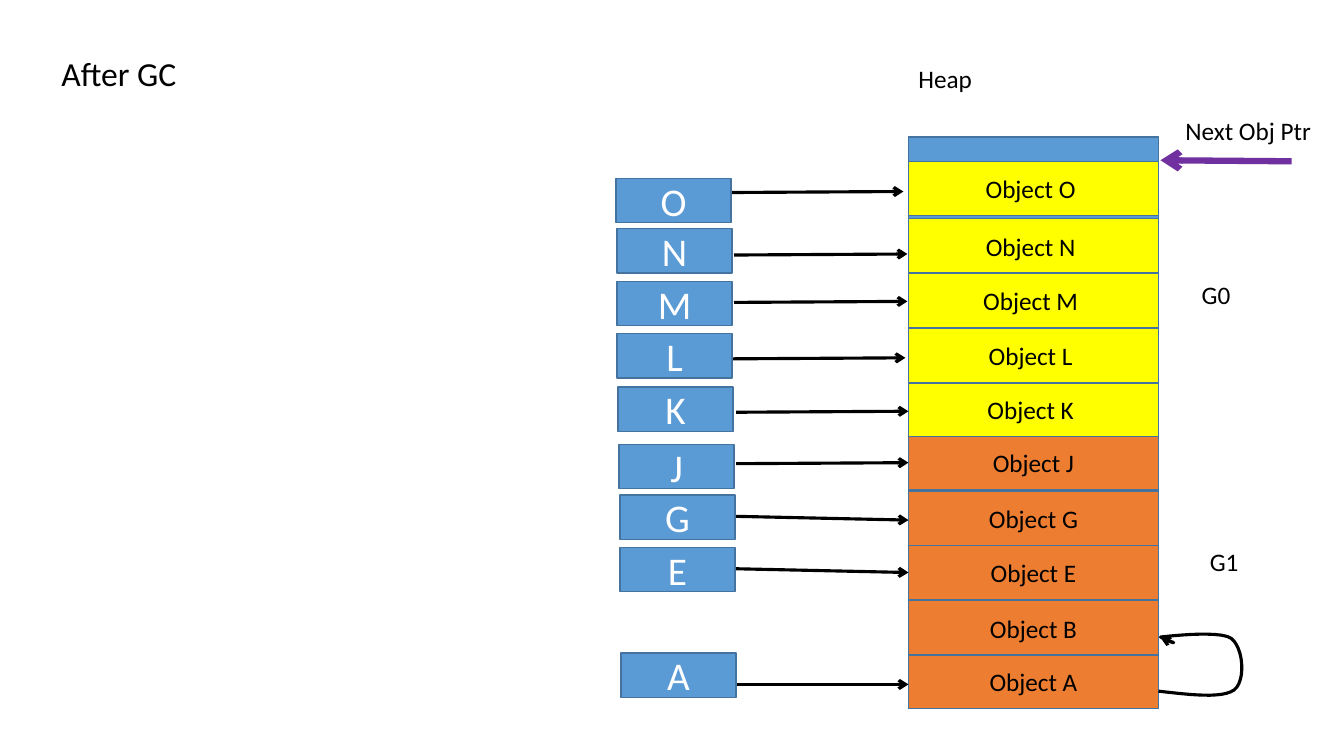
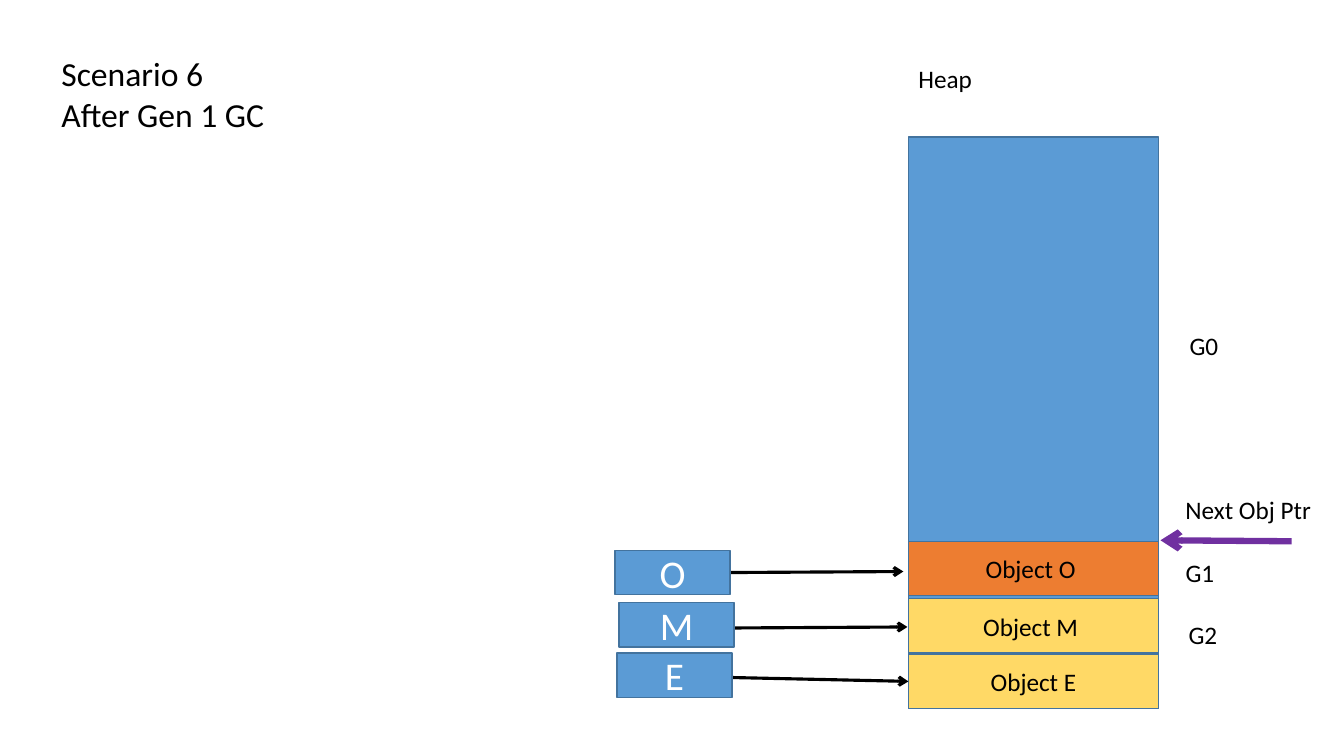
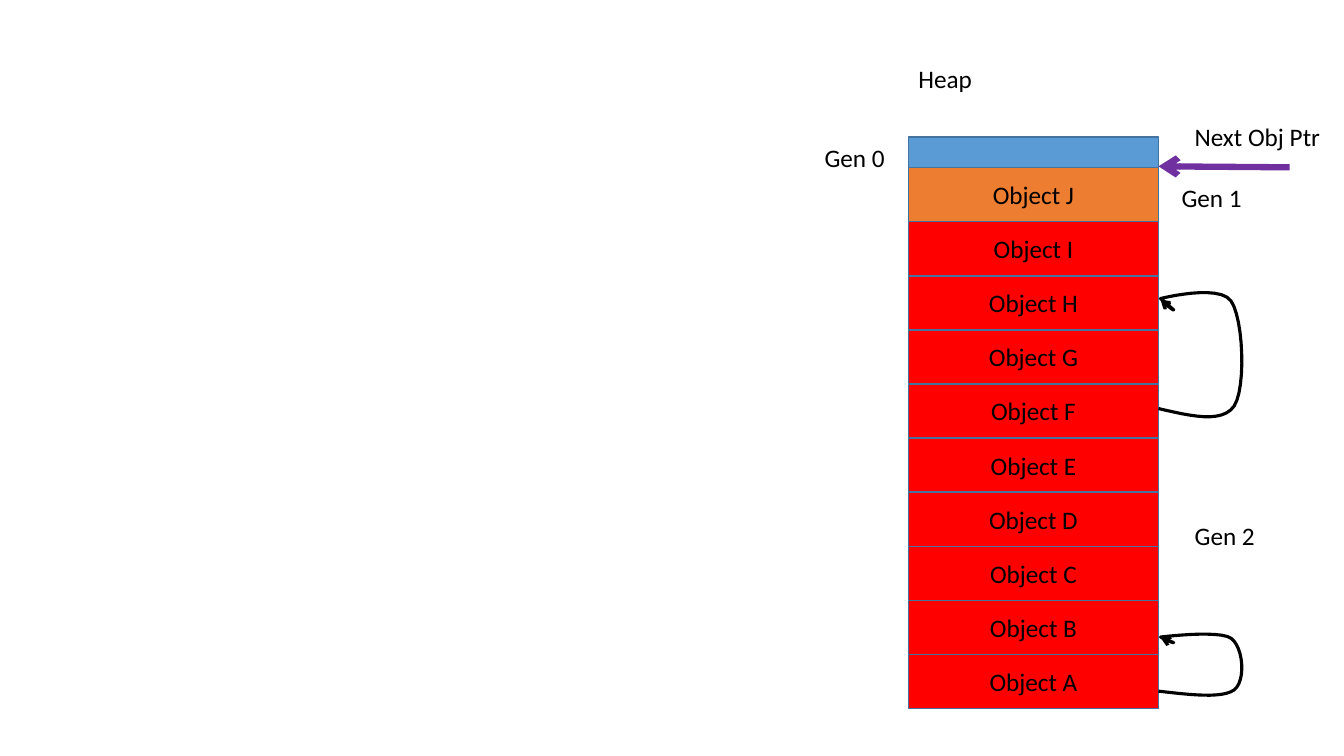
"""Build three slides showing heap generations before and after garbage collection."""
from dataclasses import dataclass

from pptx import Presentation
from pptx.dml.color import RGBColor
from pptx.enum import shapes, text
from pptx.oxml import ns, xmlchemy
from pptx.util import Inches, Pt


@dataclass(frozen=True)
class Theme:
    """Colours, font and type sizes shared by the slides."""

    font: str = "Calibri"
    title: int = 24
    body: int = 18
    root: int = 28
    black: str = "000000"
    white: str = "FFFFFF"
    blue: str = "5B9BD5"
    border: str = "43739E"
    orange: str = "ED7D31"
    yellow: str = "FFFF00"
    gold: str = "FFD966"
    red: str = "FF0000"
    purple: str = "7030A0"


T = Theme()
HEAP_LEFT, HEAP_TOP, HEAP_WIDTH, HEAP_HEIGHT = 9.01, 1.36, 2.48, 5.67
HEAP_RIGHT = HEAP_LEFT + HEAP_WIDTH
CELL_HEIGHT = 0.54
BOTTOM_CELL = 6.49
ROOT_WIDTH, ROOT_HEIGHT = 1.14, 0.44
LOOP_START = (11.49, 0.93)
LOOP_CURVES = [
    [(11.81, 0.99), (12.12, 1.05), (12.24, 0.91)],
    [(12.36, 0.76), (12.33, 0.21), (12.21, 0.07)],
    [(12.09, -0.07), (11.51, 0.05), (11.51, 0.05)],
    [(11.53, 0.06), (11.64, 0.14), (11.64, 0.14)],
    [(11.64, 0.15), (11.57, 0.1), (11.51, 0.06)],
]
CURVE_STEPS = 12


def style_text(tf, lines, size, color, align):
    """Write the lines as paragraphs in one style."""
    for i, line in enumerate(lines):
        p = tf.paragraphs[0] if i == 0 else tf.add_paragraph()
        p.text = line
        p.alignment = align
        p.font.name = T.font
        p.font.size = Pt(size)
        p.font.color.rgb = RGBColor.from_string(color)


def add_box(s, left, top, width, height, fill, label="", size=T.body, color=T.black):
    """Add a bordered rectangle with an optional centred label."""
    sp = s.shapes.add_shape(shapes.MSO_SHAPE.RECTANGLE, Inches(left), Inches(top),
                            Inches(width), Inches(height))
    sp.shadow.inherit = False
    sp.fill.solid()
    sp.fill.fore_color.rgb = RGBColor.from_string(fill)
    sp.line.color.rgb = RGBColor.from_string(T.border)
    sp.line.width = Pt(1)
    if label:
        sp.text_frame.vertical_anchor = text.MSO_ANCHOR.MIDDLE
        style_text(sp.text_frame, [label], size, color, text.PP_ALIGN.CENTER)


def add_label(s, lines, left, top, width, height=0.4, size=T.body, wrap=False):
    """Add a left-aligned text box."""
    sp = s.shapes.add_textbox(Inches(left), Inches(top), Inches(width), Inches(height))
    tf = sp.text_frame
    tf.word_wrap = wrap
    tf.auto_size = text.MSO_AUTO_SIZE.SHAPE_TO_FIT_TEXT
    style_text(tf, lines, size, T.black, text.PP_ALIGN.LEFT)


def style_arrow(sp, color, width):
    """Colour a line and put an open arrowhead at its end."""
    sp.line.color.rgb = RGBColor.from_string(color)
    sp.line.width = Pt(width)
    head = xmlchemy.OxmlElement("a:tailEnd")
    head.set("type", "arrow")
    sp.element.spPr.find(ns.qn("a:ln")).append(head)


def add_arrow(s, x1, y1, x2, y2, color=T.black, width=2.25):
    """Add a straight arrow without a shadow."""
    sp = s.shapes.add_connector(shapes.MSO_CONNECTOR.STRAIGHT, Inches(x1), Inches(y1),
                                Inches(x2), Inches(y2))
    style_arrow(sp, color, width)
    sp.element.spPr.append(xmlchemy.OxmlElement("a:effectLst"))


def bezier(points, t):
    """Return the point at t on a cubic curve."""
    weights = ((1 - t) ** 3, 3 * t * (1 - t) ** 2, 3 * t * t * (1 - t), t ** 3)
    return tuple(sum(w * p[axis] for w, p in zip(weights, points)) for axis in (0, 1))


def add_loop(s, top, height):
    """Add a curved reference arrow from one heap cell back to another."""
    points = [LOOP_START]
    for curve in LOOP_CURVES:
        controls = [points[-1], *curve]
        points += [bezier(controls, i / CURVE_STEPS) for i in range(1, CURVE_STEPS + 1)]
    outline = [(Inches(x), Inches(top + y * height)) for x, y in points]
    builder = s.shapes.build_freeform(*outline[0])
    builder.add_line_segments(outline[1:], close=False)
    sp = builder.convert_to_shape()
    sp.shadow.inherit = False
    sp.fill.background()
    style_arrow(sp, T.black, 2.25)


def add_heap(s, cells):
    """Add the heap with its heading and its (label, top, fill) cells."""
    add_box(s, HEAP_LEFT, HEAP_TOP, HEAP_WIDTH, HEAP_HEIGHT, T.blue)
    add_label(s, ["Heap"], HEAP_LEFT, 0.58, HEAP_WIDTH, wrap=True)
    for name, top, fill in cells:
        add_box(s, HEAP_LEFT, top, HEAP_WIDTH, CELL_HEIGHT, fill, f"Object {name}")


def add_roots(s, roots):
    """Add root boxes and the arrows to the objects they hold."""
    for name, left, top, x1, y1, x2, y2 in roots:
        add_arrow(s, x1, y1, x2, y2)
        add_box(s, left, top, ROOT_WIDTH, ROOT_HEIGHT, T.blue, name, T.root, T.white)


def add_next_pointer(s, tip_x, tip_y, label_x):
    """Add the purple next-object pointer with its label."""
    add_arrow(s, tip_x + 1.3, tip_y + 0.01, tip_x, tip_y, T.purple, 4.5)
    add_label(s, ["Next Obj Ptr"], label_x, tip_y - 0.5, 1.46)


def add_generations(s, labels, width):
    """Add generation labels given as (name, left, top)."""
    for name, left, top in labels:
        add_label(s, [name], left, top, width)


def after_gc(s):
    """Build the heap with generations 0 and 1."""
    add_heap(s, [
        ("A", BOTTOM_CELL, T.orange), ("B", 5.96, T.orange), ("E", 5.41, T.orange),
        ("G", 4.87, T.orange), ("J", 4.32, T.orange), ("K ", 3.79, T.yellow),
        ("L ", 3.26, T.yellow), ("M ", 2.71, T.yellow), ("N ", 2.17, T.yellow),
        ("O ", 1.6, T.yellow),
    ])
    add_label(s, ["After GC"], 0.51, 0.48, 3.98, 0.5, T.title, wrap=True)
    add_next_pointer(s, 11.51, 1.59, 11.66)
    add_loop(s, 6.29, 0.61)
    add_generations(s, [("G1", 11.9, 5.37), ("G0", 11.82, 2.72)], 0.49)
    add_roots(s, [
        ("A", 6.16, 6.48, 7.3, 6.79, 9.01, 6.79),
        ("E", 6.15, 5.43, 7.18, 5.64, 9.01, 5.68),
        ("G", 6.15, 4.91, 7.18, 5.12, 9.01, 5.16),
        ("J", 6.14, 4.41, 7.3, 4.6, 9.01, 4.59),
        ("K", 6.13, 3.84, 7.3, 4.09, 9.01, 4.08),
        ("L", 6.12, 3.31, 7.26, 3.56, 8.98, 3.55),
        ("M", 6.12, 2.79, 7.28, 3, 9, 2.99),
        ("N", 6.12, 2.27, 7.28, 2.53, 9, 2.52),
        ("O", 6.11, 1.77, 7.24, 1.91, 8.96, 1.9),
    ])


def after_gen1_gc(s):
    """Build the heap after a generation 1 collection."""
    add_heap(s, [("E", BOTTOM_CELL, T.gold), ("M ", 5.94, T.gold), ("O ", 5.37, T.orange)])
    add_label(s, ["Scenario 6", "After Gen 1 GC"], 0.51, 0.48, 3.98, 0.91, T.title, wrap=True)
    add_next_pointer(s, 11.51, 5.36, 11.66)
    add_generations(s, [("G1", 11.66, 5.48), ("G0", 11.7, 3.23), ("G2", 11.69, 6.09)], 0.49)
    add_roots(s, [
        ("E", 6.12, 6.48, 7.18, 6.72, 9.01, 6.76),
        ("M", 6.14, 5.98, 7.28, 6.23, 9, 6.22),
        ("O", 6.1, 5.46, 7.24, 5.68, 8.96, 5.67),
    ])


def full_heap(s):
    """Build the heap filled mostly by generation 2."""
    names = "ABCDEFGHIJ"
    pitch = (BOTTOM_CELL - 1.66) / (len(names) - 1)
    add_heap(s, [(name, BOTTOM_CELL - i * pitch, T.orange if name == "J" else T.red)
                 for i, name in enumerate(names)])
    add_next_pointer(s, HEAP_RIGHT, 1.65, 11.75)
    add_loop(s, 2.9, 1.24)
    add_loop(s, 6.29, 0.61)
    add_generations(s, [("Gen 2", 11.75, 5.11), ("Gen 0", 8.08, HEAP_TOP),
                        ("Gen 1", 11.62, 1.76)], 0.81)


def main():
    """Create and save the presentation."""
    prs = Presentation()
    prs.slide_width, prs.slide_height = Inches(13.33), Inches(7.5)
    for build in (after_gc, after_gen1_gc, full_heap):
        build(prs.slides.add_slide(prs.slide_layouts[6]))
    prs.save("out.pptx")


main()
